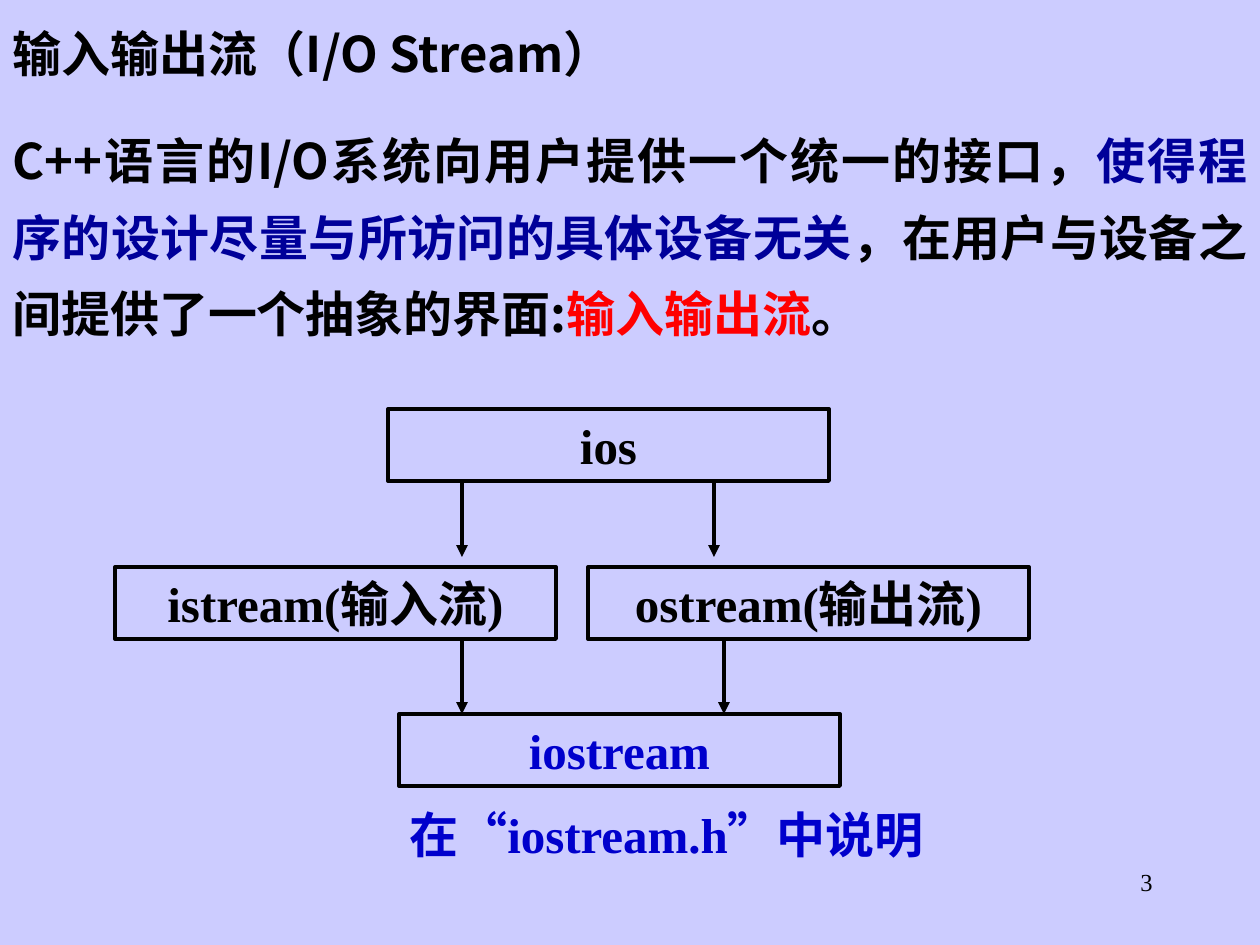
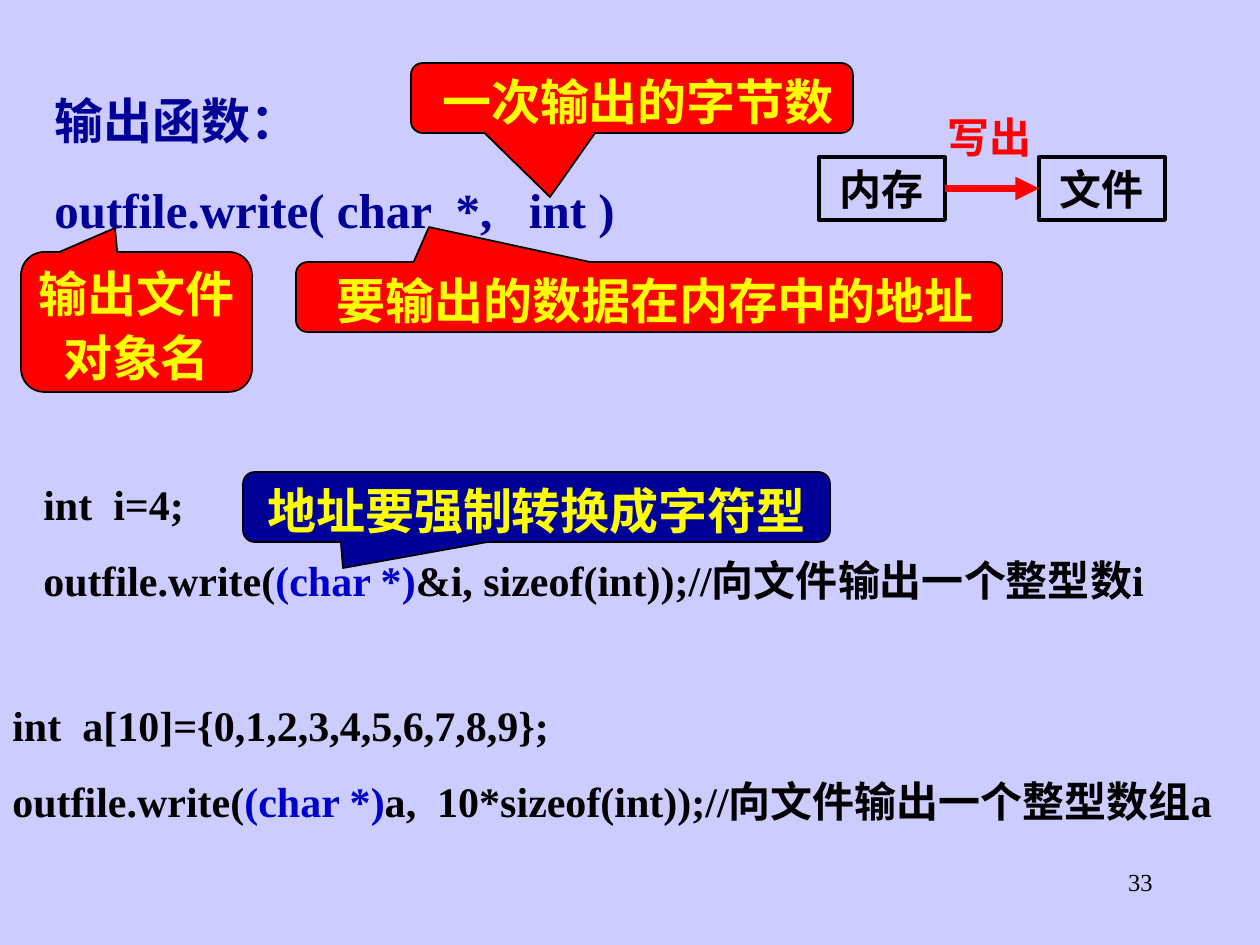
from lxml import etree
from pptx import Presentation
from pptx.dml.color import RGBColor
from pptx.enum.shapes import MSO_CONNECTOR, MSO_SHAPE
from pptx.enum.text import MSO_ANCHOR, PP_ALIGN
from pptx.oxml.ns import qn
from pptx.util import Emu, Pt

LAVENDER = RGBColor(0xCC, 0xCC, 0xFF)
BLACK = RGBColor(0, 0, 0)
NAVY = RGBColor(0, 0, 0x99)
BLUE = RGBColor(0, 0, 0xCC)
RED = RGBColor(0xFF, 0, 0)
YELLOW = RGBColor(0xFF, 0xFF, 0)

SERIF = "Times New Roman"
SANS = "Noto Sans CJK SC"
LARGE, MEDIUM, SMALL = 28, 24, 14
PX_PER_INCH = 126

# Every paragraph is a list of (text, colour) runs.
INTRO = [
    [("输入输出流（I/O Stream）", BLACK)],
    [("C++语言的I/O系统向用户提供一个统一的接口，", BLACK),
     ("使得程序的设计尽量与所访问的具体设备无关", NAVY),
     ("，在用户与设备之间提供了一个抽象的界面:", BLACK),
     ("输入输出流", RED),
     ("。", BLACK)],
]
CLASS_SIZE = (441, 72)
CLASSES = [  # name, colour, left, top
    ("ios", BLACK, 388, 409),
    ("istream(输入流)", BLACK, 115, 567),
    ("ostream(输出流)", BLACK, 588, 567),
    ("iostream", BLUE, 399, 714),
]
INHERITANCE_LENGTH = 74
INHERITANCE_STARTS = [(462, 483), (714, 483), (462, 640), (724, 640)]
HEADER_NOTE = [[("在“iostream.h”中说明", BLUE)]]

SIGNATURE = [
    [("输出函数：", NAVY)],
    [("outfile.write( char  *,   int )", NAVY)],
]
CALLOUTS = [  # text, fill, box, pointer tip, extra left inset
    ("输出文件对象名", RED, (21, 252, 231, 140), (115, 228), 0),
    ("要输出的数据在内存中的地址", RED, (296, 262, 706, 70), (429, 227), 12),
    ("一次输出的字节数", RED, (411, 63, 442, 70), (550, 197), 12),
    ("地址要强制转换成字符型", NAVY, (243, 472, 587, 70), (343, 568), 0),
]
EXAMPLES = [  # box, declaration, arguments after the cast
    ((31, 472, 1187, 140), "int  i=4;",
     "&i, sizeof(int));//向文件输出一个整型数i"),
    ((0, 693, 1260, 140), "int  a[10]={0,1,2,3,4,5,6,7,8,9};",
     "a,  10*sizeof(int));//向文件输出一个整型数组a"),
]
MEMORY_BOX = (819, 157, 126, 63)
FILE_BOX = (1039, 157, 126, 63)
WRITE_LABEL_BOX = (935, 105, 116, 63)


def px(length):
    return Emu(round(length * 914400 / PX_PER_INCH))


def write(frame, paragraphs, size=LARGE, font=SERIF, bold=True,
          align=PP_ALIGN.LEFT, spacing=None):
    frame.word_wrap = True
    for index, runs in enumerate(paragraphs):
        paragraph = frame.add_paragraph() if index else frame.paragraphs[0]
        paragraph.alignment = align
        if index:
            paragraph.space_before = Pt(size * 0.625)
        if spacing:
            paragraph.line_spacing = spacing
        for text, colour in runs:
            run = paragraph.add_run()
            run.text = text
            run.font.size = Pt(size)
            run.font.bold = bold
            run.font.name = font
            run.font.color.rgb = colour
            east_asian = etree.SubElement(run.font._element, qn("a:ea"))
            east_asian.set("typeface", SANS)


def add_text(slide, box, paragraphs, **style):
    frame = slide.shapes.add_textbox(*map(px, box)).text_frame
    write(frame, paragraphs, **style)
    return frame


def add_outlined(slide, preset, box, line_width):
    shape = slide.shapes.add_shape(preset, *map(px, box))
    shape.shadow.inherit = False
    shape.fill.background()
    shape.line.color.rgb = BLACK
    shape.line.width = Pt(line_width)
    shape.text_frame.vertical_anchor = MSO_ANCHOR.MIDDLE
    return shape


def add_box(slide, box, text, colour=BLACK, size=LARGE):
    rectangle = add_outlined(slide, MSO_SHAPE.RECTANGLE, box, 2.25)
    write(rectangle.text_frame, [[(text, colour)]], size,
          align=PP_ALIGN.CENTER)
    return rectangle


def add_arrow(slide, start, end, colour=BLACK, width=2.25):
    arrow = slide.shapes.add_connector(
        MSO_CONNECTOR.STRAIGHT, *map(px, start + end))
    arrow.line.color.rgb = colour
    arrow.line.width = Pt(width)
    head = etree.SubElement(arrow.line._get_or_add_ln(), qn("a:tailEnd"))
    head.set("type", "triangle")
    etree.SubElement(arrow._element.spPr, qn("a:effectLst"))
    return arrow


def add_callout(slide, text, fill, box, tip, extra_inset):
    callout = add_outlined(
        slide, MSO_SHAPE.ROUNDED_RECTANGULAR_CALLOUT, box, 1)
    callout.fill.solid()
    callout.fill.fore_color.rgb = fill
    left, top, width, height = box
    callout.adjustments[0] = (tip[0] - left) / width - 0.5
    callout.adjustments[1] = (tip[1] - top) / height - 0.5
    frame = callout.text_frame
    frame.margin_left = px(2 + extra_inset)
    frame.margin_right = px(2)
    frame.margin_top = frame.margin_bottom = 0
    write(frame, [[(text, YELLOW)]], align=PP_ALIGN.CENTER, spacing=1.1)


def new_slide(prs, number):
    slide = prs.slides.add_slide(prs.slide_layouts[6])
    slide.background.fill.solid()
    slide.background.fill.fore_color.rgb = LAVENDER
    add_text(slide, (903, 861, 262, 63), [[(number, BLACK)]],
             size=SMALL, bold=False, align=PP_ALIGN.RIGHT)
    return slide


def build_stream_classes(prs):
    slide = new_slide(prs, "3")
    intro = add_text(slide, (0, 0, 1260, 349), INTRO, font=SANS, spacing=1.3)
    intro.paragraphs[1].alignment = PP_ALIGN.JUSTIFY
    for name, colour, left, top in CLASSES:
        add_box(slide, (left, top, *CLASS_SIZE), name, colour)
    for x, y in INHERITANCE_STARTS:
        add_arrow(slide, (x, y), (x, y + INHERITANCE_LENGTH))
    add_text(slide, (325, 798, 683, 72), HEADER_NOTE, align=PP_ALIGN.CENTER)


def build_write_function(prs):
    slide = new_slide(prs, "33")
    add_text(slide, (42, 84, 861, 161), SIGNATURE)
    for box, declaration, arguments in EXAMPLES:
        call = [("outfile.write(", BLACK), ("(char *)", BLUE),
                (arguments, BLACK)]
        add_text(slide, box, [[(declaration, BLACK)], call], size=MEDIUM)
    for callout in CALLOUTS:
        add_callout(slide, *callout)

    memory = add_box(slide, MEMORY_BOX, "内存", size=MEDIUM)
    file_box = add_box(slide, FILE_BOX, "文件", size=MEDIUM)
    transfer = add_arrow(slide, (945, 189), (1039, 189), RED, 4.5)
    transfer.begin_connect(memory, 3)
    transfer.end_connect(file_box, 1)
    add_text(slide, WRITE_LABEL_BOX, [[("写出", RED)]], size=MEDIUM)


def main():
    prs = Presentation()
    prs.slide_width, prs.slide_height = px(1260), px(945)
    build_stream_classes(prs)
    build_write_function(prs)
    prs.save("out.pptx")


if __name__ == "__main__":
    main()
